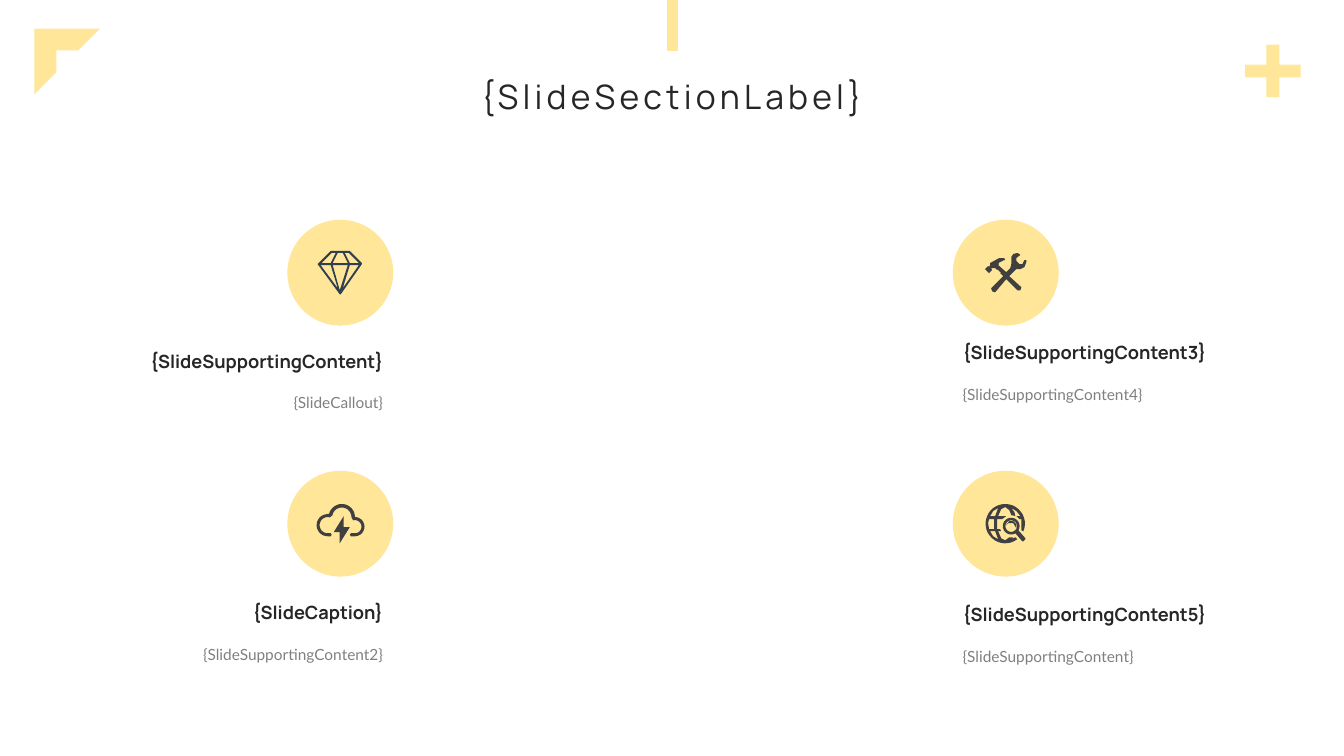
import math

import pptx
import pptx.dml.color
import pptx.enum.shapes
import pptx.enum.text
import pptx.oxml
import pptx.util

COLORS = {"accent": "FFE699", "title": "262626", "body": "808080",
          "diamond": "333F50", "icon": "404040"}
COLUMNS, ROWS = 160, 90
SLIDE_WIDTH, SLIDE_HEIGHT = pptx.util.Inches(13.33), pptx.util.Inches(7.5)
CELL = SLIDE_HEIGHT / ROWS  # square cells, COLUMNS of them across
BADGE = 12.6  # badge diameter in cells
BADGE_UNITS = 105  # icon points count hundred-and-fifths of the badge
FINENESS = 10  # icon points keep one decimal
SHAPES = pptx.enum.shapes.MSO_SHAPE
ALIGN = pptx.enum.text.PP_ALIGN


def cells(*lengths):
    return [pptx.util.Emu(round(length * CELL)) for length in lengths]


def color(name):
    return pptx.dml.color.RGBColor.from_string(COLORS[name])


def arc(x, y, radius, start, end):
    """Points of an arc, in degrees clockwise from the right."""
    steps = max(2, round(abs(end - start) / 10))
    angles = [math.radians(start + (end - start) * step / steps) for step in range(steps + 1)]
    return [(x + radius * math.cos(angle), y + radius * math.sin(angle)) for angle in angles]


# Each icon is a list of (colour, contours); later contours cut holes in the first
DIAMOND = [("diamond", [
    [(30, 44), (31, 43), (43, 31), (62, 31), (74, 43), (74, 44), (53, 74), (52, 74)],
    [(61, 33), (71, 43), (62, 43), (57, 33)],
    [(55, 33), (60, 43), (45, 43), (50, 33)],
    [(44, 33), (48, 33), (43, 43), (34, 43)],
    [(33, 45), (43, 45), (50, 68)],
    [(52, 70), (45, 45), (60, 45)],
    [(55, 68), (62, 45), (71, 45)],
])]
CLOUD = [
    ("icon", [[
        (43, 65), *arc(40, 54, 11, 90, 270), *arc(54, 46, 13, 195, 360),
        *arc(67, 55.5, 9.5, 270, 450), (63, 65), (62, 63.5), (63, 62),
        *arc(67, 55.5, 6.5, 450, 255), *arc(54, 46, 9.5, 360, 190),
        *arc(40, 54, 8, 285, 90), (43, 62), (44, 63.5),
    ]]),
    ("icon", [[(62, 56), (56, 56), (56, 45), (46, 61), (52, 61), (52, 72)]]),
]
TOOLS = [("icon", [[
    # wrench head
    (73, 40), (71, 40), (69, 44), (66, 44), (63, 41), (63, 38), (67, 35), (66, 34),
    (64, 33), (60, 34), (58, 37), (58, 44), (57, 48), (53, 52),
    # hammer
    (45, 45), (46, 44), (45, 43), (51, 40), (52, 40), (51, 38), (46, 38), (37, 43),
    (37, 45), (36, 47), (35, 46), (32, 49), (36, 53), (39, 50), (38, 48), (42, 48),
    (44, 50), (44, 49), (48, 53), (47, 53), (50, 56),
    # handles
    (38, 68), (39, 71), (42, 72), (53, 59), (64, 70), (67, 70), (68, 67), (56, 56),
    (61, 51), (63, 49), (67, 49), (71, 47), (73, 42),
]])]
GLOBE = [
    ("icon", [
        [*arc(52, 52.5, 19.5, 23, -308), (62, 66), (58, 68), (60, 66), (56, 66),
         (52, 69), (48, 67), (45, 60), (48, 60), (47, 58), (44, 58), (44, 48), (49, 48),
         (53, 45), (45, 45), (48, 38), (52, 36), (56, 39), (58, 44), (62, 45), (61, 41),
         (58, 37), (63, 40), (67, 45), (63, 45), (66, 48), (68, 48), (68, 59)],
        [(45, 37), (42, 45), (37, 45), (40, 40)],
        [(35, 52), (36, 48), (41, 48), (41, 58), (36, 58)],
        [(37, 60), (42, 60), (45, 68), (40, 65)],
    ]),
    # magnifier and its glint
    ("icon", [
        [*arc(58, 55, 8.3, 60, 390), (72, 67), (72, 68), (70, 70), (69, 70)],
        arc(58, 55, 5.7, 0, 360),
    ]),
    ("icon", [[(55, 52), (60, 52), (63, 57), (63, 53), (60, 50), (56, 50), (53, 54)]]),
]


def paint(shape, name):
    shape.fill.solid()
    shape.fill.fore_color.rgb = color(name)
    shape.line.fill.background()
    shape.shadow.inherit = False


def add_filled(shapes, preset, box):
    shape = shapes.add_shape(preset, *cells(*box))
    paint(shape, "accent")
    return shape


def add_text(slide, box, text, font, size, name, align, bold=False, line_spacing=None, tracking=0):
    frame = slide.shapes.add_textbox(*cells(*box)).text_frame
    frame.word_wrap = True
    frame.auto_size = pptx.enum.text.MSO_AUTO_SIZE.SHAPE_TO_FIT_TEXT
    paragraph = frame.paragraphs[0]
    paragraph.text = text
    paragraph.alignment = align
    paragraph.line_spacing = line_spacing
    paragraph.font.name = font
    paragraph.font.size = pptx.util.Pt(size)
    paragraph.font.bold = bold
    paragraph.font.color.rgb = color(name)
    if tracking:
        properties = paragraph._p.get_or_add_pPr().get_or_add_defRPr()
        properties.set("spc", str(tracking * 100))


def add_decorations(slide):
    """Bar, plus sign and corner along the top edge."""
    middle = COLUMNS / 2
    bar = slide.shapes.add_connector(pptx.enum.shapes.MSO_CONNECTOR.STRAIGHT,
                                     *cells(middle, 6.1, middle, 0))
    bar.line.color.rgb = color("accent")
    bar.line.width = pptx.util.Pt(8)
    bar._element.spPr.append(pptx.oxml.parse_xml(
        '<a:effectLst xmlns:a="http://schemas.openxmlformats.org/drawingml/2006/main"/>'))
    plus = add_filled(slide.shapes, SHAPES.MATH_PLUS, (147, 4.2, 9, 8.5))
    plus.adjustments[0] = 0.18
    add_filled(slide.shapes, SHAPES.HALF_FRAME, (4.1, 3.4, 7.8, 7.8))


def add_badge(slide, left, top, icon):
    """Round badge with its icon, grouped."""
    shapes = slide.shapes.add_group_shape().shapes
    add_filled(shapes, SHAPES.OVAL, (left, top, BADGE, BADGE))
    scale = BADGE * CELL / BADGE_UNITS / FINENESS
    for name, contours in icon:
        builder = None
        for contour in contours:
            points = [(round(x * FINENESS), round(y * FINENESS)) for x, y in contour]
            if builder is None:
                builder = shapes.build_freeform(*points[0], scale=scale)
            else:
                builder.move_to(*points[0])
            builder.add_line_segments(points[1:], close=True)
        paint(builder.convert_to_shape(*cells(left, top)), name)


def add_card(slide, box, icon, heading, body, heading_offset, align):
    """Badge above a heading and a body line, all aligned to one side."""
    left, top, width = box
    badge_left = left + width - BADGE if align == ALIGN.RIGHT else left
    heading_top = top + heading_offset
    add_badge(slide, badge_left, top, icon)
    add_text(slide, (left, heading_top, width, 3.84), heading, "Manrope", 13, "title",
             align, bold=True)
    add_text(slide, (left, heading_top + 4.05, width, 7.44), body, "Lato", 11, "body",
             align, line_spacing=1.5)


def main():
    presentation = pptx.Presentation()
    presentation.slide_width, presentation.slide_height = SLIDE_WIDTH, SLIDE_HEIGHT
    slide = presentation.slides.add_slide(presentation.slide_layouts[6])
    add_decorations(slide)
    add_text(slide, (36.9, 8.4, 86.1, 6), "{SlideSectionLabel}", "Manrope", 24, "title",
             ALIGN.CENTER, tracking=3)

    # Two columns of two cards
    left_column, right_column, width = 11.3, 113.4, 35.5
    upper_row, lower_row = 26.16, 56.04
    cards = [
        (left_column, upper_row, DIAMOND, "{SlideSupportingContent}", "{SlideCallout}", 14.9),
        (left_column, lower_row, CLOUD, "{SlideCaption}", "{SlideSupportingContent2}", 15),
        (right_column, upper_row, TOOLS, "{SlideSupportingContent3}",
         "{SlideSupportingContent4}", 13.9),
        (right_column, lower_row, GLOBE, "{SlideSupportingContent5}",
         "{SlideSupportingContent}", 15.2),
    ]
    for left, top, icon, heading, body, heading_offset in cards:
        align = ALIGN.RIGHT if left == left_column else ALIGN.LEFT
        add_card(slide, (left, top, width), icon, heading, body, heading_offset, align)
    presentation.save("out.pptx")


if __name__ == "__main__":
    main()
